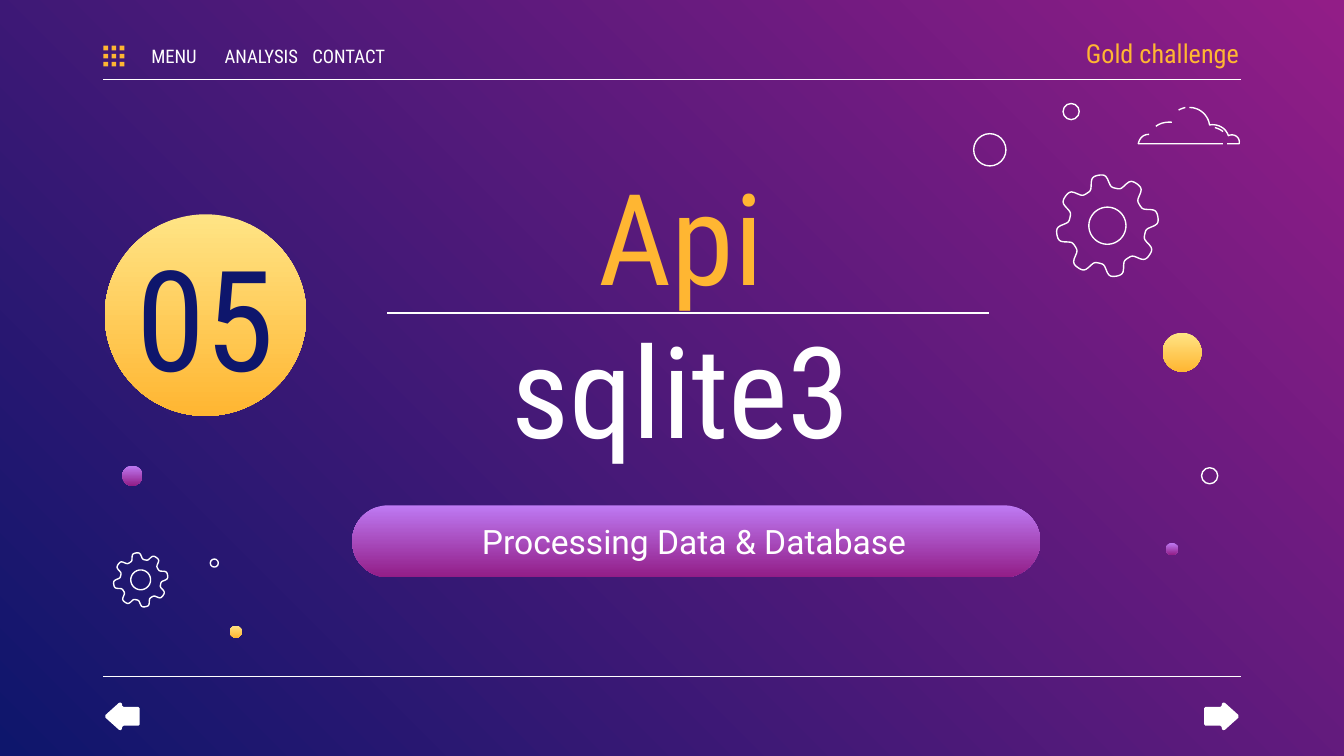
"""Build the section slide that opens the chapter on databases."""
from dataclasses import dataclass
from itertools import product
from math import cos, pi, sin, tanh
from typing import NamedTuple

from lxml.etree import SubElement
from pptx import Presentation
from pptx.dml.color import RGBColor
from pptx.enum.shapes import MSO_CONNECTOR as Connector, MSO_SHAPE as Preset
from pptx.enum.text import MSO_ANCHOR as Anchor, MSO_AUTO_SIZE as AutoSize, PP_ALIGN as Align
from pptx.oxml.ns import qn
from pptx.util import Emu, Inches, Pt

SLIDE_WIDTH, SLIDE_HEIGHT = Inches(10), Inches(5.625)


@dataclass(frozen=True)
class Theme:
    """Colours, fonts and sizes of the deck."""
    white: str = "FFFFFF"
    gold: str = "FFB632"
    navy: str = "0E166C"
    backdrop: tuple = ("921D87", "0E166C")
    sun: tuple = ("FFE485", "FFB632")
    orchid: tuple = ("BE7AF3", "921D87")
    condensed: str = "Roboto Condensed"
    plain: str = "Roboto"
    number_size: float = 75
    headline_size: float = 68
    topic_size: float = 18
    tag_size: float = 14
    menu_size: float = 10
    stroke: float = 0.75


class Box(NamedTuple):
    """Left, top, width and height in percent of the slide's width."""
    left: float
    top: float
    width: float
    height: float


class Bubble(NamedTuple):
    """A decorative circle; without colours it is an outline."""
    x: float
    y: float
    diameter: float
    colours: tuple = ()


class Gear(NamedTuple):
    """Centre and outer radius of a cog wheel."""
    x: float
    y: float
    radius: float


THEME = Theme()
MARGIN, RIGHT_EDGE = 7.7, 92.3
MENU = ("MENU", "ANALYSIS", "CONTACT")
BUBBLES = (
    Bubble(15.3, 23.45, 15, THEME.sun),
    Bubble(79.7, 8.3, 1.2),
    Bubble(87.95, 26.2, 2.9, THEME.sun),
    Bubble(9.85, 35.4, 1.5, THEME.orchid),
    Bubble(17.55, 47, 0.9, THEME.sun),
    Bubble(90, 35.4, 1.2),
    Bubble(73.65, 11.15, 2.4),
    Bubble(15.95, 41.9, 0.6),
    Bubble(87.2, 40.85, 0.9, THEME.orchid),
)
GEARS = (Gear(82.4, 16.8, 3.83), Gear(10.47, 43.15, 2.04))
CLOUD = (
    ((88.5, 8), (89.3, 8), (89.9, 8.6), (90, 9.3), (90.6, 9.2), (91.2, 9.5), (91.4, 10.1),
     (91.8, 9.9), (92.3, 10.2), (92.2, 10.7), (92, 10.7), (91.6, 10.7), (91.3, 10.7)),
    ((88.2, 8), (88.2, 8), (87.8, 8.1), (87.7, 8.2)),
    ((91, 10.7), (89, 10.7), (86.8, 10.7), (84.7, 10.7), (84.7, 10.7), (84.8, 10), (85.5, 10)),
    ((90.4, 9.5), (90.4, 9.5), (90.8, 9.6), (91, 9.8)),
    ((87.2, 9.1), (87.2, 9.1), (86.5, 9), (86, 9.4)),
)
ARROW_HALF = ((1.25, 0.1), (0.25, 1), (0.12, 1.03), (0.03, 0.95), (0, 0.78), (-0.1, 0.7),
              (-1.2, 0.7), (-1.3, 0.6))


def share(percent: float) -> Emu:
    """Turn a percentage of the slide's width into a length."""
    return Emu(round(SLIDE_WIDTH * percent / 100))


def place(box: Box) -> tuple:
    """Give a box as four lengths."""
    return tuple(share(side) for side in box)


def gradient(fill, colours: tuple, angle: float) -> None:
    """Blend two colours along an anticlockwise angle."""
    fill.gradient()
    fill.gradient_angle = angle
    for stop, colour in zip(fill.gradient_stops, colours):
        stop.color.rgb = RGBColor.from_string(colour)


def paint(shape, fill: str | tuple = (), outlined: bool = False) -> None:
    """Fill and outline a shape without a shadow."""
    shape.shadow.inherit = False
    if not fill:
        shape.fill.background()
    elif isinstance(fill, tuple):
        gradient(shape.fill, fill, 270)
    else:
        shape.fill.solid()
        shape.fill.fore_color.rgb = RGBColor.from_string(fill)
    if outlined:
        shape.line.color.rgb = RGBColor.from_string(THEME.white)
        shape.line.width = Pt(THEME.stroke)
    else:
        shape.line.fill.background()


def rule(slide, left: float, right: float, y: float) -> None:
    """Draw a thin horizontal line."""
    line = slide.shapes.add_connector(
        Connector.STRAIGHT, share(left), share(y), share(right), share(y))
    line.line.color.rgb = RGBColor.from_string(THEME.white)
    line.line.width = Pt(THEME.stroke)
    SubElement(line.element.spPr, qn("a:effectLst"))


def outline(slide, contours: list, closed: bool = True):
    """Trace one or more contours as a freeform."""
    builder = None
    for contour in contours:
        start, *rest = [(share(x), share(y)) for x, y in contour]
        if builder is None:
            builder = slide.shapes.build_freeform(*start, scale=1.0)
        else:
            builder.move_to(*start)
        builder.add_line_segments(rest, close=closed)
    return builder.convert_to_shape()


def bezier(points: tuple, steps: int = 10) -> list:
    """Sample a chain of cubic curves."""
    samples = [points[0]]
    for first in range(0, len(points) - 1, 3):
        curve = points[first:first + 4]
        for step in range(1, steps + 1):
            t = step / steps
            weights = ((1 - t) ** 3, 3 * t * (1 - t) ** 2, 3 * t * t * (1 - t), t ** 3)
            samples.append(tuple(sum(w * p[axis] for w, p in zip(weights, curve))
                                 for axis in (0, 1)))
    return samples


def draw_gear(slide, gear: Gear, teeth: int = 8, steps: int = 192) -> None:
    """Draw a cog wheel with rounded teeth and a hub."""
    rim, hub = [], []
    for step in range(steps):
        angle = 2 * pi * step / steps
        wave = tanh(2 * cos(teeth * (angle + pi / 18)))
        for contour, size in ((rim, 0.87 + 0.13 * wave), (hub, 0.36)):
            reach = gear.radius * size
            contour.append((gear.x + reach * cos(angle), gear.y + reach * sin(angle)))
    paint(outline(slide, [rim, hub]), outlined=True)


def draw_arrow(slide, x: float, y: float, direction: int) -> None:
    """Draw a page arrow pointing right (1) or left (-1)."""
    lower = [(x + direction * dx, y + dy) for dx, dy in ARROW_HALF]
    upper = [(px, 2 * y - py) for px, py in reversed(lower)]
    paint(outline(slide, [lower + upper]), THEME.white)


def write(holder, box: Box, lines: tuple, size: float, font: str = THEME.condensed,
          align: Align = Align.CENTER, insets: tuple = (1, 1)) -> None:
    """Set coloured lines of text in a text box or placeholder."""
    holder.left, holder.top, holder.width, holder.height = place(box)
    frame = holder.text_frame
    frame.word_wrap, frame.auto_size = True, AutoSize.NONE
    frame.vertical_anchor = Anchor.MIDDLE
    frame.margin_left, frame.margin_right = map(share, insets)
    frame.margin_top = frame.margin_bottom = share(1)
    paragraph = frame.paragraphs[0]
    paragraph.alignment, paragraph.space_before = align, Pt(0)
    paragraph.font.name, paragraph.font.size, paragraph.font.bold = font, Pt(size), False
    for position, (words, colour) in enumerate(lines):
        if position:
            paragraph.add_line_break()
        run = paragraph.add_run()
        run.text = words
        run.font.name, run.font.size = font, Pt(size)
        run.font.color.rgb = RGBColor.from_string(colour)


def add_text(slide, box: Box, *details, **options) -> None:
    """Add a text box and write in it."""
    write(slide.shapes.add_textbox(*place(box)), box, *details, **options)


def main() -> None:
    """Compose and save the slide."""
    deck = Presentation()
    deck.slide_width, deck.slide_height = SLIDE_WIDTH, SLIDE_HEIGHT
    slide = deck.slides.add_slide(deck.slide_layouts[0])
    gradient(slide.background.fill, THEME.backdrop, 225)
    for y in (5.9, 50.35):
        rule(slide, MARGIN, RIGHT_EDGE, y)

    pill = slide.shapes.add_shape(Preset.ROUNDED_RECTANGLE, *place(Box(26.2, 37.6, 51.2, 5.35)))
    pill.adjustments[0] = 0.5
    paint(pill, THEME.orchid)
    for x, y, diameter, colours in BUBBLES:
        corner = Box(x - diameter / 2, y - diameter / 2, diameter, diameter)
        paint(slide.shapes.add_shape(Preset.OVAL, *place(corner)), colours, not colours)
    for stroke in CLOUD:
        paint(outline(slide, [bezier(stroke)], closed=False), outlined=True)
    for gear in GEARS:
        draw_gear(slide, gear)
    for x, direction in ((9.1, -1), (90.9, 1)):
        draw_arrow(slide, x, 53.3, direction)
    for column, row in product(range(3), repeat=2):
        dot = Box(MARGIN + 0.6 * column, 3.4 + 0.6 * row, 0.35, 0.35)
        paint(slide.shapes.add_shape(Preset.RECTANGLE, *place(dot)), THEME.gold)

    number, topic = slide.shapes.title, slide.placeholders[1]
    for holder in (topic, number):
        slide.shapes.element.append(holder.element)
    write(topic, Box(26.6, 38.6, 50.1, 3.3), (("Processing Data & Database", THEME.white),),
          THEME.topic_size, THEME.plain)
    write(number, Box(7.8, 19.3, 15, 8.3), (("05", THEME.navy),), THEME.number_size)
    add_text(slide, Box(77.2, 2.3, 15, 3.3), (("Gold challenge", THEME.gold),),
             THEME.tag_size, align=Align.RIGHT, insets=(1, 0))
    for column, label in enumerate(MENU):
        add_text(slide, Box(10.1 + 6.5 * column, 3, 5.7, 2.3), ((label, THEME.white),),
                 THEME.menu_size, insets=(0, 0))
    add_text(slide, Box(26.6, 10.3, 48.2, 25.7),
             (("Api", THEME.gold), ("sqlite3", THEME.white)), THEME.headline_size)
    rule(slide, 28.8, 73.6, 23.3)
    deck.save("out.pptx")


if __name__ == "__main__":
    main()
